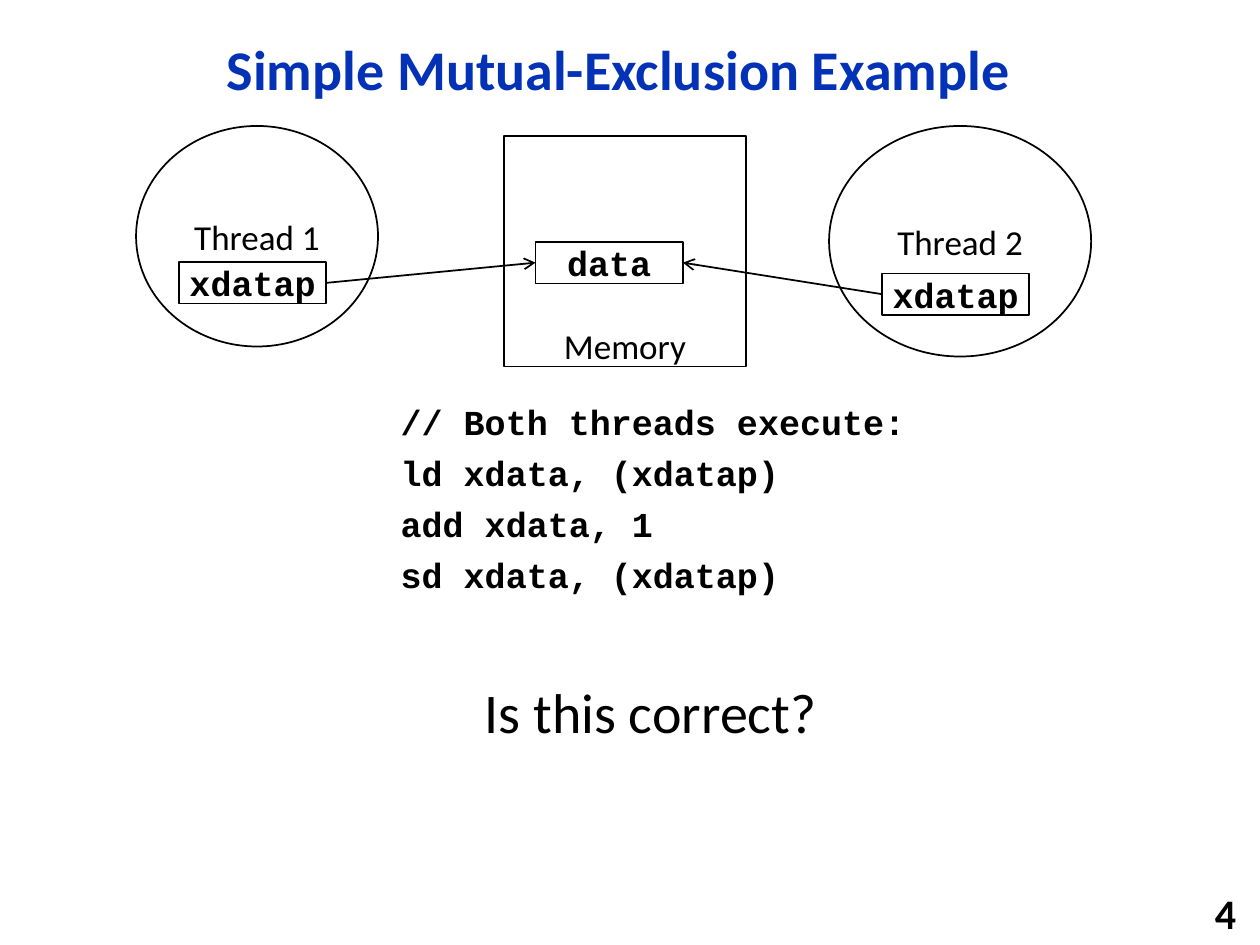
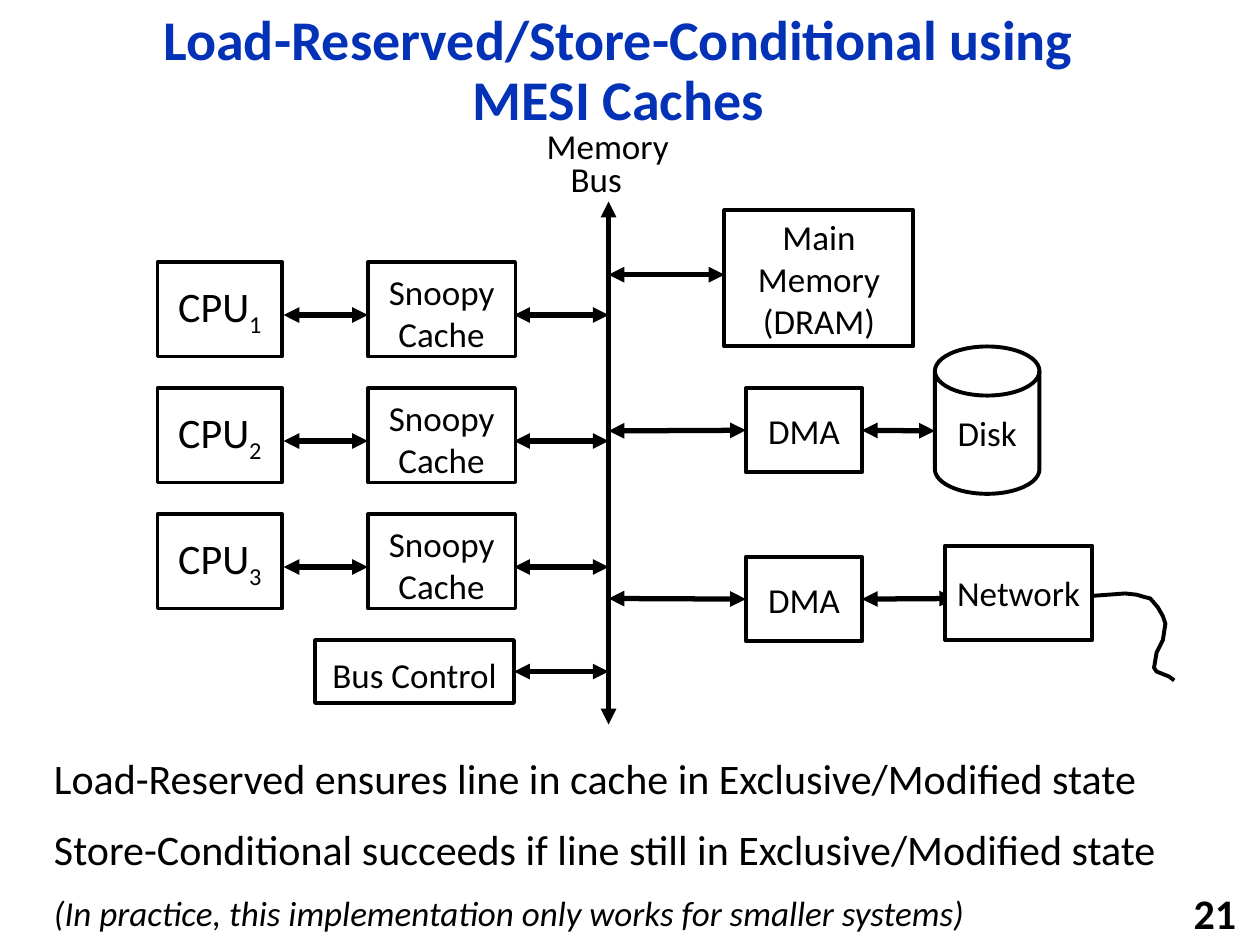
from dataclasses import dataclass

from lxml import etree
from pptx import Presentation
from pptx.dml.color import RGBColor
from pptx.enum import shapes, text
from pptx.oxml.ns import qn
from pptx.util import Inches, Pt


@dataclass(frozen=True)
class Theme:
    ink: RGBColor = RGBColor(0, 0, 0)
    paper: RGBColor = RGBColor(255, 255, 255)
    blue: RGBColor = RGBColor(0x03, 0x32, 0xB7)
    sans: str = "Calibri"
    mono: str = "Courier New"
    big: int = 32
    mid: int = 24
    small: int = 20
    thin: float = 1
    edge: float = 2
    bold_edge: float = 2.25
    bus: float = 3


T = Theme()
RECT = shapes.MSO_SHAPE.RECTANGLE
OVAL = shapes.MSO_SHAPE.OVAL
DISK = shapes.MSO_SHAPE.FLOWCHART_MAGNETIC_DISK
MID = text.MSO_ANCHOR.MIDDLE
CENTER = text.PP_ALIGN.CENTER
LEFT, RIGHT = 1, 3  # connection sites of a rectangle
PAD = (0.1, 0.05, 0.1, 0.05)


# Text
def style(para, size=T.small, face=T.sans, color=T.ink, bold=False,
          align=None, space=None, before=None):
    font = para.font
    font.size, font.name, font.bold = Pt(size), face, bold
    font.color.rgb = color
    para.alignment = align
    para.line_spacing = space
    if before is not None:
        para.space_before = Pt(before)


def write(frame, lines, pad=PAD, anchor=text.MSO_ANCHOR.TOP, **look):
    frame.word_wrap = True
    frame.auto_size = text.MSO_AUTO_SIZE.NONE
    frame.vertical_anchor = anchor
    (frame.margin_left, frame.margin_top,
     frame.margin_right, frame.margin_bottom) = map(Inches, pad)
    frame.text = "\n".join(lines)
    for para in frame.paragraphs:
        style(para, **look)
    return frame.paragraphs


def indent(para, left=0):
    props = para._p.get_or_add_pPr()
    props.set("marL", str(Inches(left)))
    props.set("indent", "0")
    etree.SubElement(props, qn("a:buNone"))


def place(shape, *at):
    shape.left, shape.top, shape.width, shape.height = map(Inches, at)


def label(slide, at, lines, **look):
    area = slide.shapes.add_textbox(*map(Inches, at))
    return write(area.text_frame, lines, **look)


# Shapes and lines
def box(slide, at, words, kind=RECT, edge=T.thin, pad=(0, 0, 0, 0),
        anchor=MID, **look):
    shape = slide.shapes.add_shape(kind, *map(Inches, at))
    shape.shadow.inherit = False
    shape.fill.solid()
    shape.fill.fore_color.rgb = T.paper
    shape.line.color.rgb = T.ink
    shape.line.width = Pt(edge)
    write(shape.text_frame, [words], pad, anchor, align=CENTER, **look)
    return shape


def link(slide, start, end, width=T.bus, head="triangle", tail="triangle"):
    """Each end is an (x, y) point or a (shape, site) pair."""
    line = slide.shapes.add_connector(shapes.MSO_CONNECTOR.STRAIGHT, 0, 0, 0, 0)
    if isinstance(start[0], (int, float)):
        line.begin_x, line.begin_y = map(Inches, start)
    else:
        line.begin_connect(*start)
    if isinstance(end[0], (int, float)):
        line.end_x, line.end_y = map(Inches, end)
    else:
        line.end_connect(*end)
    line.line.color.rgb = T.ink
    line.line.width = Pt(width)
    props = line._element.spPr
    stroke = props.find(qn("a:ln"))
    for tag, tip in (("a:headEnd", head), ("a:tailEnd", tail)):
        if tip:
            etree.SubElement(stroke, qn(tag)).set("type", tip)
    etree.SubElement(props, qn("a:effectLst"))


def curve(slide, points, edge):
    first, *rest = [tuple(map(Inches, point)) for point in points]
    pen = slide.shapes.build_freeform(*first)
    pen.add_line_segments(rest, close=False)
    shape = pen.convert_to_shape()
    shape.shadow.inherit = False
    shape.fill.background()
    shape.line.color.rgb = T.ink
    shape.line.width = Pt(edge)


def start(deck, layout, title, number):
    slide = deck.slides.add_slide(deck.slide_layouts.get_by_name(layout))
    place(slide.shapes.title, 0.92, 0.17, 7.98, 0.81)
    write(slide.shapes.title.text_frame, [title], anchor=MID, size=T.big,
          color=T.blue, bold=True, align=CENTER, space=0.9)
    label(slide, (7.83, 7.08, 2.08, 0.32), [number], anchor=MID, size=T.mid,
          bold=True, align=text.PP_ALIGN.RIGHT)
    return slide


# Slides
def mutex(deck):
    slide = start(deck, "Title and Content", "Simple Mutual-Exclusion Example", "4")
    code = dict(face=T.mono, bold=True)

    # Memory and threads
    box(slide, (4, 1.08, 1.92, 1.83), "Memory", anchor=text.MSO_ANCHOR.BOTTOM)
    data = box(slide, (4.25, 1.92, 1.17, 0.33), "data", **code)
    box(slide, (1.08, 1, 1.92, 1.75), "Thread 1", OVAL)
    box(slide, (6.58, 1, 2.08, 1.83), "Thread 2", OVAL)

    # Pointers to the shared data
    for x, y, out, into in ((1.42, 2.08, RIGHT, LEFT), (7, 2.17, LEFT, RIGHT)):
        ptr = box(slide, (x, y, 1.17, 0.33), "xdatap", **code)
        link(slide, (ptr, out), (data, into), T.thin, head=None, tail="arrow")

    # Code and question
    body = slide.placeholders[1]
    place(body, 3.08, 3.17, 4.42, 4.17)
    lines = ["// Both threads execute:", "ld xdata, (xdatap)",
             "add xdata, 1", "sd xdata, (xdatap)"]
    for para in write(body.text_frame, lines, space=0.9, before=7.4, **code):
        indent(para)
    label(slide, (3.75, 5.33, 2.87, 0.64), ["Is this correct?"], size=T.big)


def caches(deck):
    slide = start(deck, "Title Only",
                  "Load-Reserved/Store-Conditional using MESI Caches", "21")
    bus = 4.83
    low = (0.1, 0.05, 0.1, 0)

    # Memory bus
    link(slide, (bus, 1.6), (bus, 5.75))
    names = label(slide, (4.24, 1, 1.19, 0.65), ["Memory", "Bus"], space=0.8)
    indent(names[1], 0.19)

    # Processors with their caches
    for row in range(3):
        top, mid = 2.08 + row, 2.5 + row
        cpu = box(slide, (1.25, top, 0.99, 0.75), "CPU", edge=T.edge, size=T.mid)
        sub = cpu.text_frame.paragraphs[0].add_run()
        sub.text = str(row + 1)
        sub._r.get_or_add_rPr().set("baseline", "-25000")
        box(slide, (2.92, top, 1.17, 0.75), "Snoopy Cache", edge=T.edge, pad=low)
        link(slide, (2.25, mid), (2.92, mid))
        link(slide, (4.08, mid), (bus, mid))
    control = box(slide, (2.5, 5.08, 1.58, 0.5), "Bus Control", edge=T.edge, pad=low)
    link(slide, (control, RIGHT), (bus, 5.33))

    # Main memory
    box(slide, (5.75, 1.67, 1.5, 1.08), "Main Memory (DRAM)", edge=T.bold_edge)
    link(slide, (bus, 2.18), (5.75, 2.18))

    # Devices behind DMA
    for top, mid, reach in ((3.08, 3.42, 7.42), (4.42, 4.75, 7.58)):
        dma = box(slide, (5.92, top, 0.92, 0.67), "DMA", edge=T.bold_edge)
        link(slide, (bus, mid), (dma, LEFT))
        link(slide, (dma, RIGHT), (reach, mid))
    box(slide, (7.42, 2.75, 0.83, 1.17), "Disk", DISK, T.bold_edge)
    box(slide, (7.5, 4.33, 1.17, 0.75), "Network", edge=T.bold_edge)
    cable = [(8.66, 4.73), (8.8, 4.72), (8.93, 4.71), (9.02, 4.72), (9.09, 4.74),
             (9.13, 4.75), (9.19, 4.82), (9.23, 4.89), (9.25, 4.95), (9.23, 5.08),
             (9.18, 5.18), (9.16, 5.3), (9.18, 5.33), (9.28, 5.37), (9.32, 5.4)]
    curve(slide, cable, T.bold_edge)

    # Remarks
    notes = label(slide, (0.33, 5.92, 9.08, 1.62), [
        "Load-Reserved ensures line in cache in Exclusive/Modified state",
        "Store-Conditional succeeds if line still in Exclusive/Modified state",
        "(In practice, this implementation only works for smaller systems)",
    ], size=T.mid, before=T.mid / 2)
    style(notes[-1], before=T.small / 2)
    notes[-1].font.italic = True


def main():
    deck = Presentation()
    deck.slide_width, deck.slide_height = Inches(10), Inches(7.5)
    mutex(deck)
    caches(deck)
    deck.save("out.pptx")


if __name__ == "__main__":
    main()
